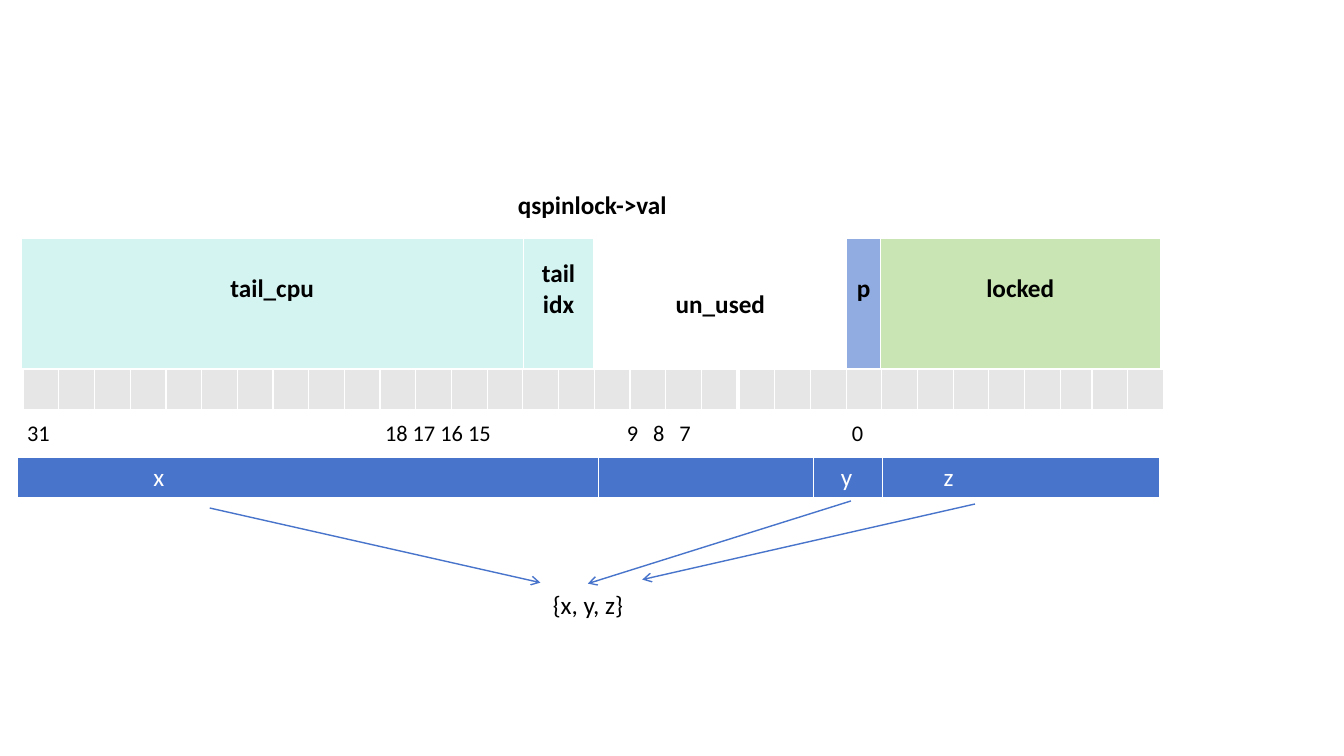
from lxml import etree
from pptx import Presentation
from pptx.dml.color import RGBColor
from pptx.enum.shapes import MSO_CONNECTOR
from pptx.enum.text import MSO_ANCHOR, PP_ALIGN
from pptx.oxml.ns import qn
from pptx.util import Inches, Pt

LEFT, CENTER = PP_ALIGN.LEFT, PP_ALIGN.CENTER
TOP, MIDDLE = MSO_ANCHOR.TOP, MSO_ANCHOR.MIDDLE
LINE = MSO_CONNECTOR.STRAIGHT
FONT = "Calibri"
BLACK = RGBColor(0x00, 0x00, 0x00)
WHITE = RGBColor(0xFF, 0xFF, 0xFF)
BLUE = RGBColor(0x48, 0x74, 0xCB)
MINT = RGBColor(0xD4, 0xF4, 0xF2)
PALE = RGBColor(0x91, 0xAC, 0xE0)
GREEN = RGBColor(0xC8, 0xE5, 0xB3)
GRAY = RGBColor(0xE7, 0xE6, 0xE6)

# Content: width, fill, lines of text, then bottom or left inset
TITLE = [(11.29, WHITE, ["qspinlock->val"], 0.05)]
FIELDS = [
    (4.98, MINT, ["tail_cpu"], 0.35),
    (0.70, MINT, ["tail", "idx"], 0.35),
    (2.51, None, ["un_used"], 0.05),
    (0.33, PALE, ["p"], 0.35),
    (2.78, GREEN, ["locked"], 0.35),
]
PARTS = [
    (5.77, BLUE, ["x"], 1.35),
    (2.13, BLUE, [], 0.1),
    (0.68, BLUE, ["y"], 0.27),
    (2.75, BLUE, ["z"], 0.61),
]
STRIPS = [(0.23, 10), (3.77, 10), (7.33, 10), (10.83, 2)]  # left, bits
BIT = 0.354
SCALE = "31\t18 17 16 15\t9\t8\t7\t0"
STOPS = [3.55, 5.95, 6.21, 6.47, 8.18]
RESULT = "{x, y, z}"
ARROWS = [
    ((2.08, 5.04), (5.36, 5.78)),
    ((8.44, 4.97), (5.83, 5.79)),
    ((9.67, 5.00), (6.37, 5.75)),
]

deck = Presentation()
deck.slide_width, deck.slide_height = Inches(13.33), Inches(7.5)
slide = deck.slides.add_slide(deck.slide_layouts[6])
shapes = slide.shapes


def write(para, text, size, color, bold=False, align=LEFT):
    para.alignment = align
    run = para.add_run()
    run.text = text
    font = run.font
    font.name, font.size, font.bold = FONT, Pt(size), bold
    font.color.rgb = color


def edge(cell):
    props = cell._tc.get_or_add_tcPr()
    for side, width in (("L", 1), ("R", 1), ("T", 1), ("B", 3)):
        line = etree.SubElement(props, qn("a:ln" + side), w=str(Pt(width)))
        fill = etree.SubElement(line, qn("a:solidFill"))
        etree.SubElement(fill, qn("a:srgbClr"), val=str(WHITE))


def band(left, top, height, cells, head=False):
    """One table row; head cells are bold, black and centred."""
    total = sum(cell[0] for cell in cells)
    table = shapes.add_table(1, len(cells), Inches(left), Inches(top),
                             Inches(total), Inches(height)).table
    table.first_row = table.horz_banding = False
    table.rows[0].height = Inches(height)
    for i, (width, color, lines, inset) in enumerate(cells):
        table.columns[i].width = Inches(width)
        cell = table.cell(0, i)
        edge(cell)
        if color is None:
            cell.fill.background()
        else:
            cell.fill.solid()
            cell.fill.fore_color.rgb = color
        cell.vertical_anchor = MIDDLE if head else TOP
        if head:
            cell.margin_left = cell.margin_right = Inches(0.05)
            cell.margin_bottom = Inches(inset)
        else:
            cell.margin_left = Inches(inset)
        frame = cell.text_frame
        for n, text in enumerate(lines):
            para = frame.add_paragraph() if n else frame.paragraphs[0]
            write(para, text, 18, BLACK if head else WHITE, head,
                  CENTER if head else LEFT)


def box(left, top, width, height):
    frame = shapes.add_textbox(Inches(left), Inches(top),
                               Inches(width), Inches(height)).text_frame
    frame.word_wrap = True
    return frame


# Parts row, field row, bit strips and title
band(0.17, 4.54, 0.4, PARTS)
band(0.21, 2.37, 1.3, FIELDS, head=True)
for left, bits in STRIPS:
    band(left, 3.66, 0.42, [(BIT, GRAY, [], 0.1)] * bits)
band(0.23, 1.83, 0.42, TITLE, head=True)

# Bit numbers on tab stops
para = box(0.17, 4.11, 11.35, 0.37).paragraphs[0]
tabs = etree.SubElement(para._p.get_or_add_pPr(), qn("a:tabLst"))
for stop in STOPS:
    etree.SubElement(tabs, qn("a:tab"), pos=str(Inches(stop)), algn="l")
write(para, SCALE, 16, BLACK)

# Result
frame = box(5.12, 5.5, 1.25, 0.7)
frame.margin_top, frame.margin_left = Inches(0.35), Inches(0.27)
write(frame.paragraphs[0], RESULT, 18, BLACK, align=CENTER)

# Arrows from the parts to the result
for start, end in ARROWS:
    arrow = shapes.add_connector(LINE, *map(Inches, start + end))
    arrow.line.color.rgb = BLUE
    arrow.line.width = Pt(1)
    etree.SubElement(arrow.line._get_or_add_ln(), qn("a:tailEnd"), type="arrow")
    etree.SubElement(arrow._element.spPr, qn("a:effectLst"))

deck.save("out.pptx")
